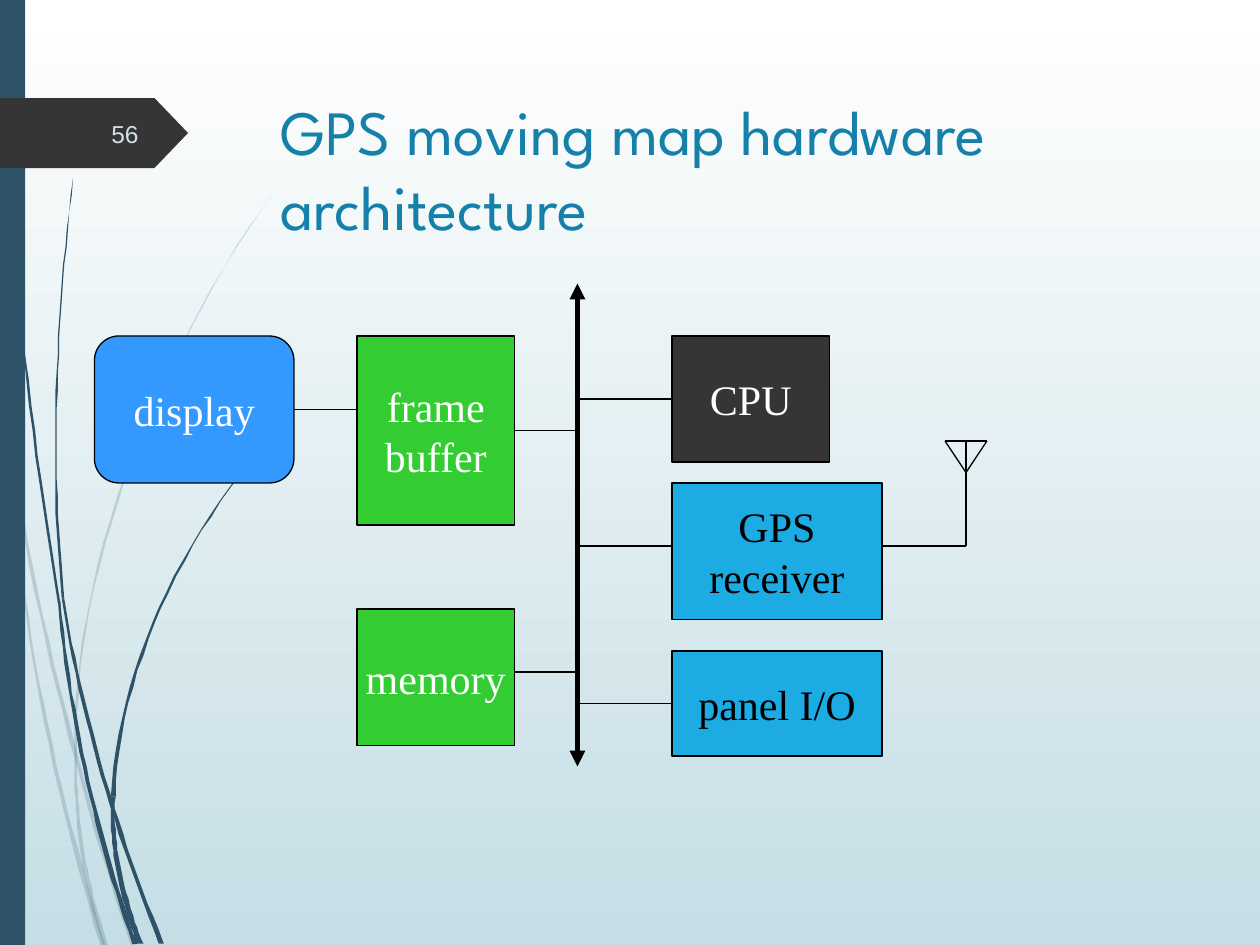
from lxml import etree
from pptx import Presentation
from pptx.dml.color import RGBColor
from pptx.enum.shapes import MSO_CONNECTOR, MSO_SHAPE
from pptx.enum.text import MSO_ANCHOR, MSO_AUTO_SIZE, PP_ALIGN
from pptx.oxml.ns import qn
from pptx.util import Pt

RECTANGLE, ROUNDED, TAG = MSO_SHAPE.RECTANGLE, MSO_SHAPE.ROUNDED_RECTANGLE, MSO_SHAPE.PENTAGON
STRAIGHT = MSO_CONNECTOR.STRAIGHT
TOP, MIDDLE = MSO_ANCHOR.TOP, MSO_ANCHOR.MIDDLE
LEFT, CENTER, RIGHT = PP_ALIGN.LEFT, PP_ALIGN.CENTER, PP_ALIGN.RIGHT
NO_AUTOFIT = MSO_AUTO_SIZE.NONE
LEFT_SIDE, RIGHT_SIDE = 1, 3

SERIF = "Times New Roman"
BLACK, WHITE, CHARCOAL = "000000", "FFFFFF", "353535"
NAVY, CYAN, GREEN, BLUE = "2E5369", "1CACE3", "33CC33", "3399FF"
HUNDREDTH_INCH = Pt(0.72)
CURVE_STEPS = 24
THIN, THICK = 0.75, 3


def paint(shape, fill, line=None, opacity=100):
    shape.shadow.inherit = False
    shape.fill.solid()
    shape.fill.fore_color.rgb = RGBColor.from_string(fill)
    if opacity < 100:
        color = shape.element.spPr.find(qn("a:solidFill")).find(qn("a:srgbClr"))
        etree.SubElement(color, qn("a:alpha"), val=str(opacity * 1000))
    if line:
        shape.line.color.rgb = RGBColor.from_string(line)
        shape.line.width = Pt(THIN)
    else:
        shape.line.fill.background()


def write_text(shape, text, size=24, font=SERIF, color=BLACK, align=CENTER, anchor=MIDDLE, wrap=False):
    frame = shape.text_frame
    frame.text = text
    frame.auto_size = NO_AUTOFIT
    frame.word_wrap = wrap
    frame.vertical_anchor = anchor
    for paragraph in frame.paragraphs:
        paragraph.alignment = align
        paragraph.font.size = Pt(size)
        paragraph.font.name = font
        paragraph.font.color.rgb = RGBColor.from_string(color)


presentation = Presentation()
presentation.slide_width, presentation.slide_height = Pt(720), Pt(540)
slide = presentation.slides.add_slide(presentation.slide_layouts[5])
shapes = slide.shapes

background = slide.background.fill
background.gradient()
background.gradient_angle = 270
for stop, position, color in zip(background.gradient_stops, (0, 1), (WHITE, "C5DEE5")):
    stop.position = position
    stop.color.rgb = RGBColor.from_string(color)

# each strand: start, two control points, end, start width, end width, opacity
strands = [
    ((0, 290), (18, 450), (58, 610), (106, 751), 2, 4, 20),
    ((8, 350), (14, 490), (45, 630), (82, 751), 1, 4, 20),
    ((217, 153), (138, 260), (60, 435), (60, 585), 0.5, 2, 20),
    ((60, 585), (58, 640), (66, 700), (84, 751), 2, 4, 20),
    ((2.5, 0), (4, 160), (21, 325), (47, 479), 1, 2, 100),
    ((47, 477), (56, 575), (79, 670), (107, 749), 2, 4, 100),
    ((58, 141), (45, 250), (39, 370), (50, 475), 0.5, 2, 100),
    ((50, 475), (65, 570), (94, 665), (128, 749), 2, 4, 100),
    ((216, 344), (145, 425), (93, 535), (90, 632), 1, 3, 100),
    ((90, 632), (87, 675), (99, 715), (111, 749), 3, 5, 100),
]
for start, control_1, control_2, end, start_width, end_width, opacity in strands:
    left_edge, right_edge = [], []
    for step in range(CURVE_STEPS + 1):
        t = step / CURVE_STEPS
        weights = ((1 - t) ** 3, 3 * t * (1 - t) ** 2, 3 * t**2 * (1 - t), t**3)
        x, y = (
            sum(weight * value for weight, value in zip(weights, axis))
            for axis in zip(start, control_1, control_2, end)
        )
        half_width = (start_width + (end_width - start_width) * t) / 2
        left_edge.append((x - half_width, y))
        right_edge.append((x + half_width, y))
    builder = shapes.build_freeform(*left_edge[0], scale=HUNDREDTH_INCH)
    builder.add_line_segments(left_edge[1:] + right_edge[::-1], close=True)
    paint(builder.convert_to_shape(), NAVY, opacity=opacity)

side_bar = shapes.add_shape(RECTANGLE, 0, 0, Pt(14.4), Pt(540))
paint(side_bar, NAVY)

number_tag = shapes.add_shape(TAG, 0, Pt(56), Pt(107.5), Pt(40))
number_tag.adjustments[0] = 0.48
paint(number_tag, CHARCOAL)

title = shapes.title
title.left, title.top, title.width, title.height = Pt(153), Pt(49), Pt(519), Pt(101)
write_text(title, "GPS moving map hardware architecture", size=36, font="League Spartan",
           color="1581AA", align=LEFT, anchor=TOP, wrap=True)

slide_number = shapes.add_textbox(Pt(40.3), Pt(62), Pt(46), Pt(29))
write_text(slide_number, "56", size=14, font="Arial", color="CFE2E7", align=RIGHT, wrap=True)

display_x, memory_x, bus_x, device_x, antenna_x = 54, 204, 330, 384, 552
blocks = {}
for text, kind, left, top, width, height, fill, color in (
    ("display", ROUNDED, display_x, 192, 114, 84, BLUE, WHITE),
    ("frame\nbuffer", RECTANGLE, memory_x, 192, 90, 108, GREEN, WHITE),
    ("memory", RECTANGLE, memory_x, 348, 90, 78, GREEN, WHITE),
    ("CPU", RECTANGLE, device_x, 192, 90, 72, CHARCOAL, WHITE),
    ("GPS\nreceiver", RECTANGLE, device_x, 276, 120, 78, CYAN, BLACK),
    ("panel I/O", RECTANGLE, device_x, 372, 120, 60, CYAN, BLACK),
):
    block = shapes.add_shape(kind, Pt(left), Pt(top), Pt(width), Pt(height))
    paint(block, fill, line=BLACK)
    write_text(block, text, color=color)
    blocks[text] = block

memory_right, receiver_right, display_right = memory_x + 90, device_x + 120, display_x + 114
antenna_left, antenna_right = antenna_x - 12, antenna_x + 12
antenna_top, antenna_tip, receiver_y = 252, 270, 312

bus = (bus_x, 162, bus_x, 438)
joined_wires = [
    ("display", RIGHT_SIDE, (display_right, 234, memory_x, 234)),
    ("frame\nbuffer", RIGHT_SIDE, (memory_right, 246, bus_x, 246)),
    ("CPU", LEFT_SIDE, (device_x, 228, bus_x, 228)),
    ("panel I/O", LEFT_SIDE, (device_x, 402, bus_x, 402)),
]
free_wires = [
    (memory_right, 384, bus_x, 384),
    (device_x, receiver_y, bus_x, receiver_y),
    (antenna_x, receiver_y, receiver_right, receiver_y),
    (antenna_x, antenna_top, antenna_x, receiver_y),
    (antenna_left, antenna_top, antenna_right, antenna_top),
    (antenna_left, antenna_top, antenna_x, antenna_tip),
    (antenna_x, antenna_tip, antenna_right, antenna_top),
]
for block_name, side, ends in joined_wires + [(None, None, ends) for ends in [bus] + free_wires]:
    connector = shapes.add_connector(STRAIGHT, *map(Pt, ends))
    connector.line.color.rgb = RGBColor.from_string(BLACK)
    connector.line.width = Pt(THICK if ends == bus else THIN)
    if block_name:
        connector.begin_connect(blocks[block_name], side)
    if ends == bus:
        outline = connector.element.spPr.find(qn("a:ln"))
        for arrowhead in ("a:headEnd", "a:tailEnd"):
            etree.SubElement(outline, qn(arrowhead), type="triangle")
    etree.SubElement(connector.element.spPr, qn("a:effectLst"))

presentation.save("out.pptx")
